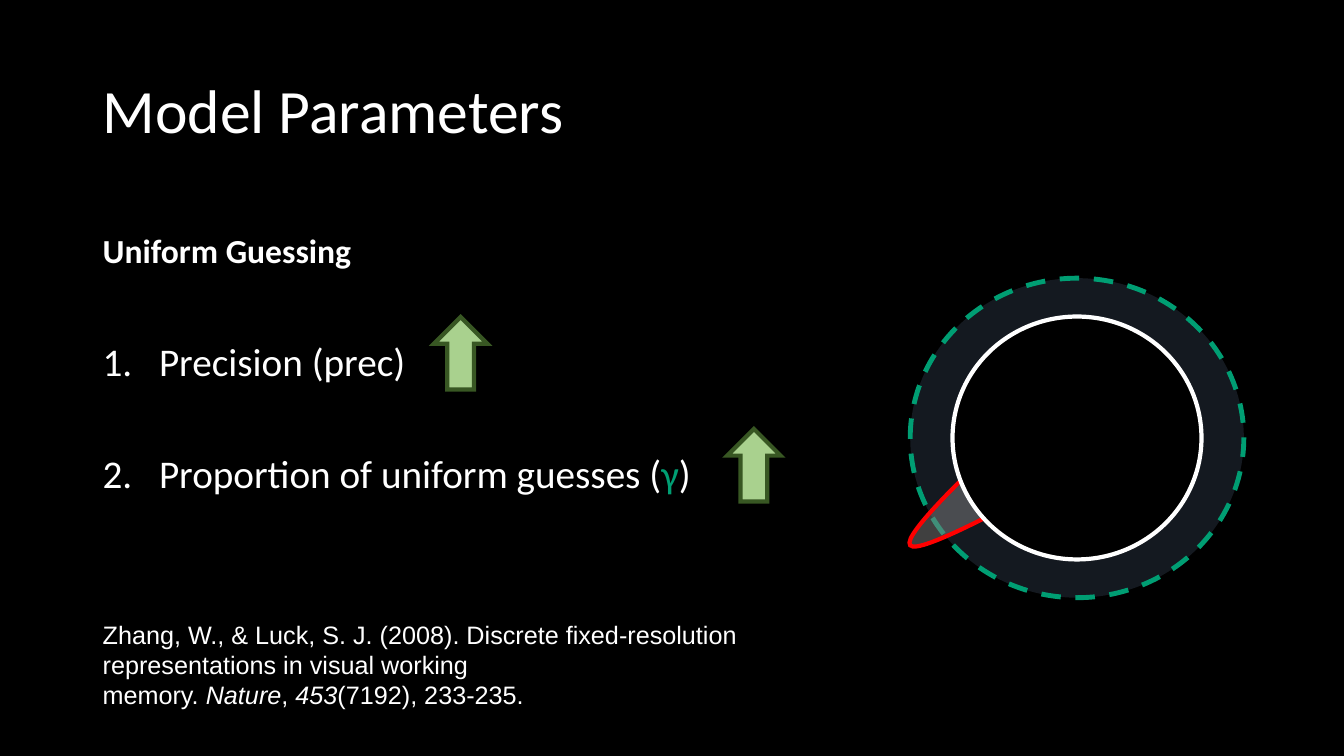
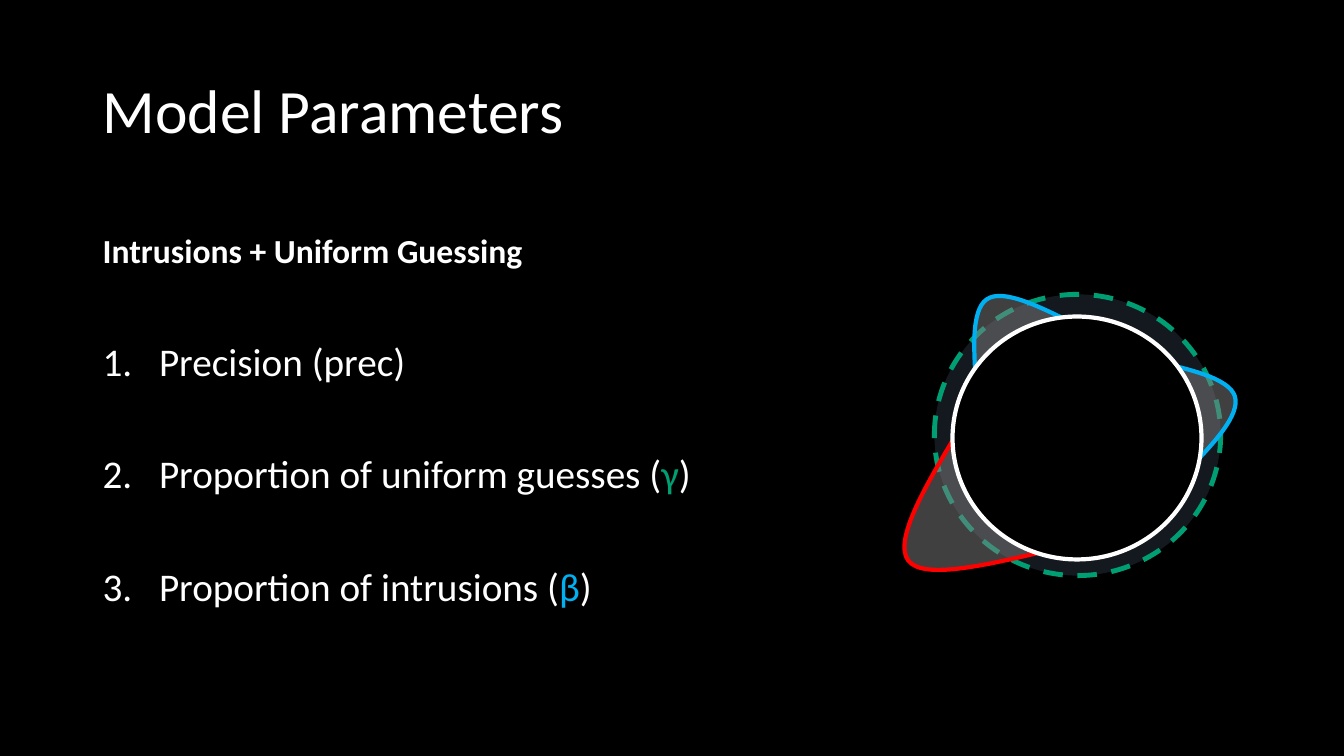
from lxml.etree import SubElement
from pptx import Presentation
from pptx.dml.color import RGBColor
from pptx.enum.dml import MSO_LINE
from pptx.enum.shapes import MSO_SHAPE
from pptx.enum.text import MSO_ANCHOR, PP_ALIGN
from pptx.oxml.ns import qn
from pptx.util import Emu, Pt

EMU_PER_PX = 9144
NBSP = chr(160)

COLORS = {
    "background": "000000",
    "text": "FFFFFF",
    "guess": "009E73",
    "intrusion": "00B0F0",
    "target": "FF0000",
    "ring": "44546A",
    "bump": "808080",
    "arrow": "A9D18E",
    "arrow_edge": "385723",
}
TITLE_FONT = {"name": "Calibri", "size": Pt(44), "bold": False}
HEADING_FONT = {"name": "Calibri", "size": Pt(24), "bold": True}
ITEM_FONT = {"name": "Calibri", "size": Pt(28)}
CITATION_FONT = {"name": "Arial", "size": Pt(18)}

PRECISION = [("Precision (prec)", "text")]
GUESSES = [("Proportion of uniform guesses (", "text"), ("γ", "guess"), (")", "text")]
INTRUSIONS = [("Proportion of intrusions (", "text"), ("β", "intrusion"), (")", "text")]
CITATION = [
    ("Zhang, W., & Luck, S. J. (2008). Discrete fixed-resolution "
     f"representations in visual working memory.{NBSP}", False),
    ("Nature", True),
    (f",{NBSP}", False),
    ("453", True),
    ("(7192), 233-235.", False),
]

CENTER_DISC = (945, 314, 247, 241)
ARROW_BOXES = [(421, 324, 72, 53), (712, 435, 72, 53)]


def px(value):
    return Emu(round(value * EMU_PER_PX))


def rgb(name):
    return RGBColor.from_string(COLORS[name])


def apply_format(target, values):
    for name, value in values.items():
        setattr(target, name, value)


def place(shape, box):
    apply_format(shape, dict(zip(("left", "top", "width", "height"), map(px, box))))


def add_run(paragraph, text, font, color="text", italic=False):
    run = paragraph.add_run()
    run.text = text
    apply_format(run.font, {**font, "italic": italic})
    run.font.color.rgb = rgb(color)


def add_text_box(slide, box, anchor=MSO_ANCHOR.TOP):
    shape = slide.shapes.add_textbox(*map(px, box))
    apply_format(shape.text_frame, {"word_wrap": True, "vertical_anchor": anchor})
    return shape.text_frame


def style_shape(shape, fill, line, width, opacity=100, dash=None):
    shape.shadow.inherit = False
    shape.fill.solid()
    shape.fill.fore_color.rgb = rgb(fill)
    if opacity < 100:
        color = shape.fill._xPr.find(qn("a:solidFill"))[0]
        SubElement(color, qn("a:alpha")).set("val", str(opacity * 1000))
    shape.line.color.rgb = rgb(line)
    apply_format(shape.line, {"width": Pt(width), "dash_style": dash})
    SubElement(shape.line._get_or_add_ln(), qn("a:miter")).set("lim", "800000")


def set_title(slide, text):
    title = slide.shapes.title
    place(title, (92, 40, 1150, 145))
    title.text_frame.vertical_anchor = MSO_ANCHOR.MIDDLE
    paragraph = title.text_frame.paragraphs[0]
    apply_format(paragraph, {"alignment": PP_ALIGN.LEFT, "line_spacing": 0.9})
    add_run(paragraph, text, TITLE_FONT)


def add_heading(slide, text):
    frame = add_text_box(slide, (92, 184, 564, 90), MSO_ANCHOR.BOTTOM)
    paragraph = frame.paragraphs[0]
    paragraph.line_spacing = 0.9
    add_run(paragraph, text, HEADING_FONT)


def add_numbered_list(slide, items):
    frame = add_text_box(slide, (92, 335, 730, 342))
    for index, runs in enumerate(items):
        paragraph = frame.add_paragraph() if index else frame.paragraphs[0]
        apply_format(paragraph, {"line_spacing": 0.9, "space_after": Pt(50)})
        properties = paragraph._p.get_or_add_pPr()
        properties.set("marL", str(px(56)))
        properties.set("indent", str(-px(56)))
        SubElement(properties, qn("a:buFont")).set("typeface", "+mj-lt")
        SubElement(properties, qn("a:buAutoNum")).set("type", "arabicPeriod")
        for text, color in runs:
            add_run(paragraph, text, ITEM_FONT, color)


def add_citation(slide):
    paragraph = add_text_box(slide, (92, 609, 692, 101)).paragraphs[0]
    for text, italic in CITATION:
        add_run(paragraph, text, CITATION_FONT, italic=italic)


def add_up_arrow(slide, box):
    arrow = slide.shapes.add_shape(MSO_SHAPE.RIGHT_ARROW, *map(px, box))
    arrow.rotation = 270
    style_shape(arrow, "arrow", "arrow_edge", 3)


def add_ellipse(slide, box, *style, **options):
    ellipse = slide.shapes.add_shape(MSO_SHAPE.OVAL, *map(px, box))
    style_shape(ellipse, *style, **options)


def curve_segments(shape):
    outline = next(shape._element.iter(qn("a:moveTo"))).getparent()
    segments = outline.findall(qn("a:lnTo"))
    for first in range(0, len(segments), 3):
        curve = SubElement(outline, qn("a:cubicBezTo"))
        for segment in segments[first:first + 3]:
            curve.append(segment[0])
            outline.remove(segment)


def add_bump(slide, color, points):
    start, *controls = [tuple(map(px, point)) for point in points]
    builder = slide.shapes.build_freeform(*start, scale=1.0)
    builder.add_line_segments(controls, close=False)
    bump = builder.convert_to_shape()
    curve_segments(bump)
    style_shape(bump, "bump", color, 3, opacity=50)


def add_density_plot(slide, ring_box, bumps):
    add_ellipse(slide, ring_box, "ring", "guess", 3.5, opacity=30, dash=MSO_LINE.DASH)
    for color, points in bumps:
        add_bump(slide, color, points)
    add_ellipse(slide, CENTER_DISC, "background", "text", 3)


def add_model_slide(presentation, heading, items, ring_box, bumps):
    slide = presentation.slides.add_slide(presentation.slide_layouts.get_by_name("Title Only"))
    set_title(slide, "Model Parameters")
    add_heading(slide, heading)
    add_numbered_list(slide, items)
    add_density_plot(slide, ring_box, bumps)
    return slide


def main():
    presentation = Presentation()
    apply_format(presentation, {"slide_width": px(4000) // 3, "slide_height": px(750)})
    background = presentation.slide_master.background.fill
    background.solid()
    background.fore_color.rgb = rgb("background")

    guessing = add_model_slide(
        presentation, "Uniform Guessing", [PRECISION, GUESSES], (903, 276, 331, 317),
        [("target", [(1096, 450), (1004, 501), (911, 551), (903, 541),
                     (894, 531), (968, 461), (1043, 391)])],
    )
    add_citation(guessing)
    for box in ARROW_BOXES:
        add_up_arrow(guessing, box)

    add_model_slide(
        presentation, "Intrusions + Uniform Guessing", [PRECISION, GUESSES, INTRUSIONS],
        (927, 292, 284, 279),
        [("intrusion", [(1139, 357), (1179, 366), (1219, 375), (1225, 393),
                        (1231, 412), (1203, 441), (1175, 470)]),
         ("intrusion", [(969, 389), (966, 349), (963, 308), (979, 297),
                        (995, 286), (1031, 304), (1067, 322)]),
         ("target", [(1045, 545), (981, 560), (916, 576), (901, 556),
                     (886, 536), (919, 480), (953, 424)])],
    )
    presentation.save("out.pptx")


if __name__ == "__main__":
    main()
